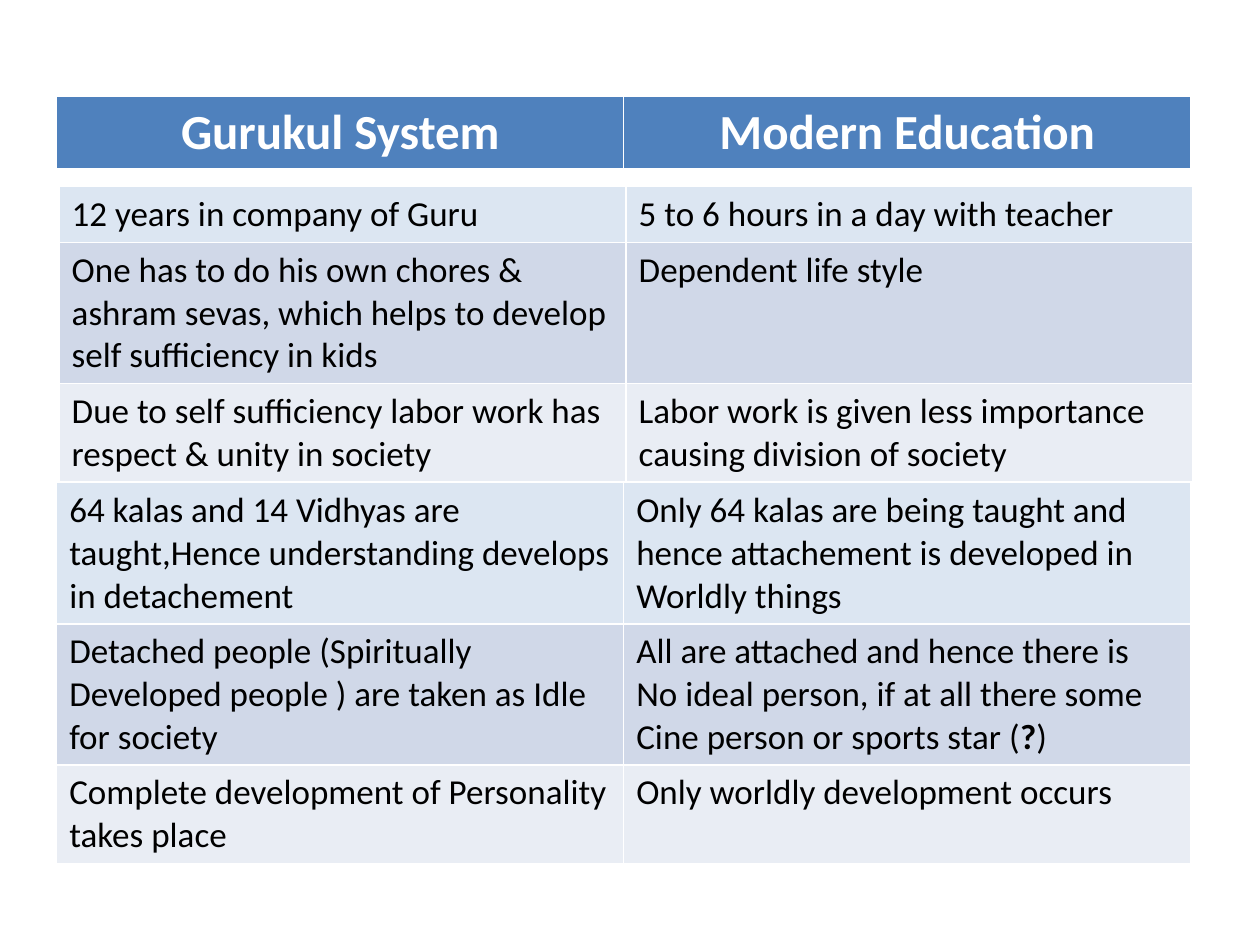
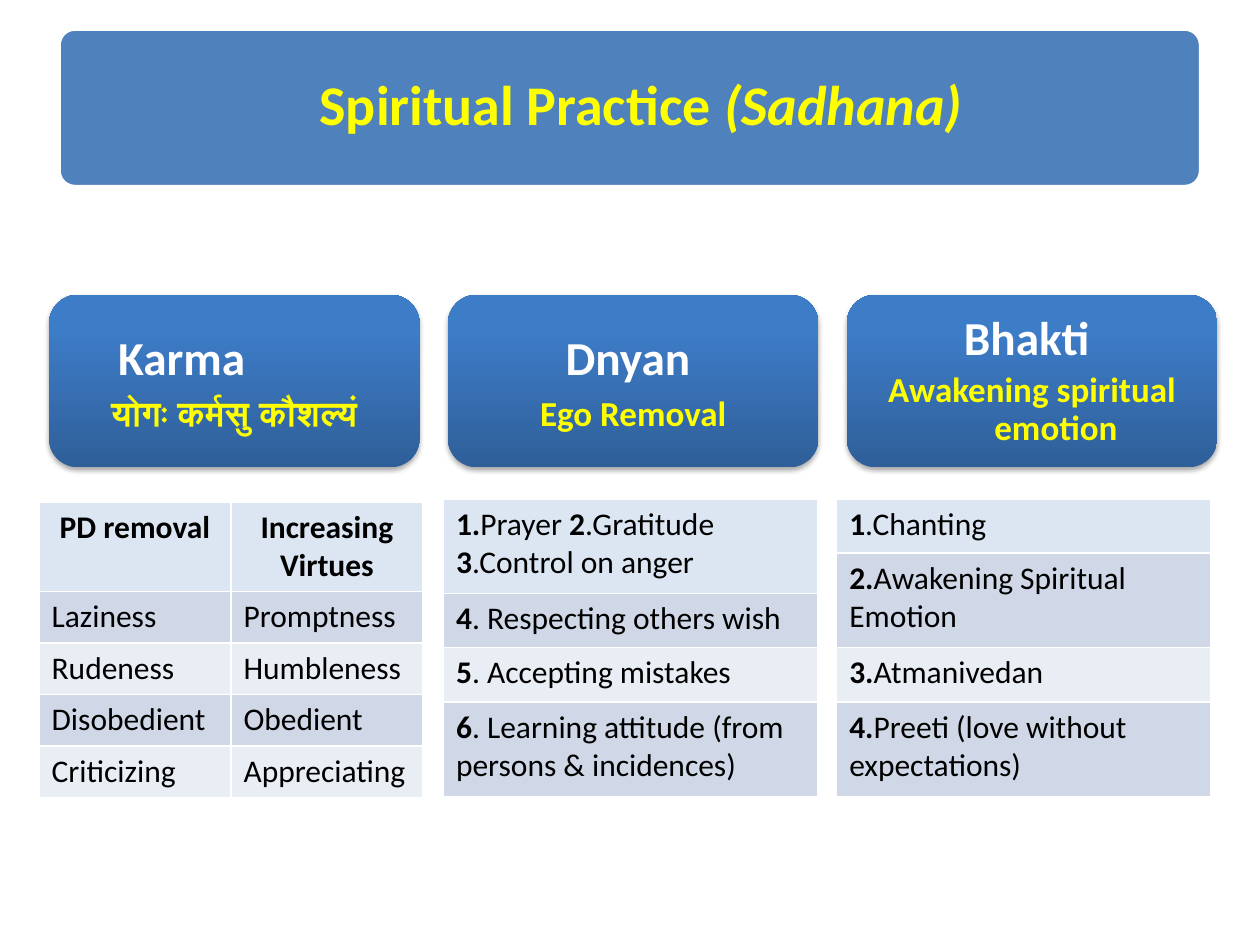
import dataclasses

import lxml.etree
import pptx
import pptx.dml.color
import pptx.enum.shapes
import pptx.enum.text
import pptx.oxml
import pptx.oxml.ns
import pptx.util

Pt = pptx.util.Pt
ALIGN = pptx.enum.text.PP_ALIGN
MIDDLE = pptx.enum.text.MSO_ANCHOR.MIDDLE
ROUNDED = pptx.enum.shapes.MSO_SHAPE.ROUNDED_RECTANGLE
qn = pptx.oxml.ns.qn


@dataclasses.dataclass(frozen=True)
class Theme:
    font: str = "Calibri"
    blue: str = "4F81BD"
    white: str = "FFFFFF"
    black: str = "000000"
    yellow: str = "FFFF00"
    top_row: str = "DCE6F2"
    bands: tuple = ("D0D8E8", "E9EDF4")
    card_bottom: str = "2F5F99"
    card_top: str = "3D7CC7"
    title_size: float = 32
    heading_size: float = 28
    card_size: float = 27
    text_size: float = 20
    small_size: float = 18


THEME = Theme()


def rgb(value):
    return pptx.dml.color.RGBColor.from_string(value)


def place(shape, box):
    shape.left, shape.top, shape.width, shape.height = (Pt(length) for length in box)


def write(paragraph, text, size, color, bold=False, mark="**"):
    """Add text to the paragraph; each mark switches bold on or off."""
    runs = []
    for index, part in enumerate(text.split(mark)):
        if part:
            run = paragraph.add_run()
            run.text = part
            run.font.name = THEME.font
            run.font.size = Pt(size)
            run.font.bold = bold != (index % 2 == 1)
            run.font.color.rgb = rgb(color)
            runs.append(run)
    return runs


def row_fill(index):
    return THEME.bands[(index - 1) % 2] if index else THEME.top_row


def add_grid(slide, left, top, width, heights, rows, size, color=THEME.black,
             top_fill=None, centred_top=False):
    """Add a table whose first row is set off by the style's thick white rule."""
    frame = slide.shapes.add_table(len(rows), len(rows[0]), Pt(left), Pt(top),
                                   Pt(width), Pt(sum(heights)))
    table = frame.table
    table.horz_banding = False
    for index, (texts, height) in enumerate(zip(rows, heights)):
        table.rows[index].height = Pt(height)
        heading = centred_top and index == 0
        for column, text in enumerate(texts):
            cell = table.cell(index, column)
            cell.fill.solid()
            cell.fill.fore_color.rgb = rgb(top_fill or row_fill(index))
            paragraph = cell.text_frame.paragraphs[0]
            paragraph.alignment = ALIGN.CENTER if heading else ALIGN.LEFT
            write(paragraph, text, size, color, bold=heading)


def build_comparison(presentation):
    slide = presentation.slides.add_slide(presentation.slide_layouts[6])
    width = 648
    add_grid(slide, 33.8, 106.6, width, (32, 80, 56), [
        ("12 years in company of Guru", "5 to 6 hours in a day with teacher"),
        ("One has to do his own chores & ashram sevas, which helps to develop "
         "self sufficiency in kids", "Dependent life style"),
        ("Due to self sufficiency labor work has respect & unity in society",
         "Labor work is given less importance causing division of society"),
    ], THEME.text_size)
    add_grid(slide, 32.4, 275.8, width, (80, 80, 56), [
        ("64 kalas and 14 Vidhyas are taught,Hence understanding develops in detachement",
         "Only 64 kalas are being taught and hence attachement is developed in "
         "Worldly things"),
        ("Detached people (Spiritually Developed people ) are taken as Idle for society",
         "All are attached and hence there is No ideal person, if at all there some "
         "Cine person or sports star (**?**)"),
        ("Complete development of Personality takes place",
         "Only worldly development occurs"),
    ], THEME.text_size)
    add_grid(slide, 32.4, 55, width, (41,), [("Gurukul System", "Modern Education")],
             THEME.heading_size, THEME.white, THEME.blue, centred_top=True)


def add_banner(slide, box):
    left, top, width, height = box
    banner = slide.shapes.add_shape(ROUNDED, *(Pt(length) for length in box))
    banner.adjustments[0] = 0.1
    banner.shadow.inherit = False
    banner.fill.solid()
    banner.fill.fore_color.rgb = rgb(THEME.blue)
    banner.line.color.rgb = rgb(THEME.white)
    banner.line.width = Pt(2)

    title = slide.shapes.title
    title.element.addprevious(banner.element)
    text_offset = 139.4
    place(title, (left + text_offset, top, width - text_offset, height))
    frame = title.text_frame
    frame.auto_size = pptx.enum.text.MSO_AUTO_SIZE.NONE
    frame.vertical_anchor = MIDDLE
    frame.margin_left = frame.margin_right = Pt(9.4)
    frame.margin_top = frame.margin_bottom = Pt(9.4)
    paragraph = frame.paragraphs[0]
    paragraph.alignment = ALIGN.LEFT
    paragraph.line_spacing = 0.9
    write(paragraph, "Spiritual Practice ", THEME.title_size, THEME.yellow, True)
    for run in write(paragraph, "(Sadhana)", THEME.title_size, THEME.yellow, True):
        run.font.italic = True


def round_corners(placeholder):
    geometry = lxml.etree.SubElement(placeholder.element.spPr, qn("a:prstGeom"),
                                     prst="roundRect")
    lxml.etree.SubElement(geometry, qn("a:avLst"))


def add_soft_shadow(shape):
    shape.shadow.inherit = False
    effects = shape.element.spPr.find(qn("a:effectLst"))
    shadow = lxml.etree.SubElement(
        effects, qn("a:outerShdw"), blurRad=str(Pt(3.1)), dist=str(Pt(1.8)),
        dir="5400000", rotWithShape="0")
    color = lxml.etree.SubElement(shadow, qn("a:srgbClr"), val=THEME.black)
    lxml.etree.SubElement(color, qn("a:alpha"), val="35000")


def format_card(card, name, meaning, name_left=False, line_spacing=1.0):
    card.fill.gradient()
    card.fill.gradient_angle = 90
    bottom, top = card.fill.gradient_stops
    bottom.color.rgb, bottom.position = rgb(THEME.card_bottom), 0
    top.color.rgb, top.position = rgb(THEME.card_top), 0.8
    card.line.fill.background()
    add_soft_shadow(card)

    frame = card.text_frame
    frame.word_wrap = True
    frame.auto_size = pptx.enum.text.MSO_AUTO_SIZE.NONE
    frame.vertical_anchor = MIDDLE
    lines = ((name, THEME.card_size, THEME.white, name_left),
             (meaning, THEME.text_size, THEME.yellow, False))
    for index, (text, size, color, at_left) in enumerate(lines):
        paragraph = frame.add_paragraph() if index else frame.paragraphs[0]
        paragraph.alignment = ALIGN.LEFT if at_left else ALIGN.CENTER
        paragraph.line_spacing = line_spacing
        paragraph.space_before = Pt(0.2 * size)
        properties = paragraph.element.get_or_add_pPr() if hasattr(
            paragraph, "element") else paragraph._p.get_or_add_pPr()
        properties.set("marL", str(Pt(27.4)))
        properties.set("indent", "0" if at_left else str(-Pt(27.4)))
        lxml.etree.SubElement(properties, qn("a:buNone"))
        write(paragraph, text, size, color, True)


def add_cards(slide, left, top, width, height, step):
    cards = (
        ("Karma", "योगः कर्मसु कौशल्यं", True, 1.0),
        ("Dnyan ", "Ego Removal", False, 1.0),
        ("Bhakti ", "Awakening spiritual emotion", False, 0.9),
    )
    for index, texts in enumerate(cards):
        box = (left + index * step, top, width, height)
        if index == 0:
            card = slide.placeholders[1]
            place(card, box)
            round_corners(card)
        else:
            card = slide.shapes.add_shape(ROUNDED, *(Pt(length) for length in box))
        format_card(card, *texts)


def build_practice(presentation):
    slide = presentation.slides.add_slide(presentation.slide_layouts[1])
    add_banner(slide, (33.8, 16.6, 652.3, 90))
    add_cards(slide, 28.1, 168.5, 211.7, 98.6, step=227.9)
    size = THEME.small_size
    add_grid(slide, 22.3, 286.8, 219.4, (50, 29.5, 29.5, 29.5, 29.5), [
        ("PD removal", "Increasing Virtues"),
        ("Laziness", "Promptness"),
        ("Rudeness", "Humbleness"),
        ("Disobedient", "Obedient"),
        ("Criticizing", "Appreciating"),
    ], size, centred_top=True)
    short, tall = 31, 54
    add_grid(slide, 253.4, 285.1, 213.8, (tall, short, short, tall), [
        ("**1.**Prayer** 2**.Gratitude **3**.Control on anger",),
        ("**4**. Respecting others wish",),
        ("**5**. Accepting mistakes",),
        ("**6**. Learning attitude (from persons & incidences)",),
    ], size)
    add_grid(slide, 478.1, 285.1, 213.8, (short, tall, short, tall), [
        ("**1**.Chanting",),
        ("**2.**Awakening Spiritual Emotion",),
        ("**3.**Atmanivedan",),
        ("**4.**Preeti (love without expectations)",),
    ], size)


def main():
    presentation = pptx.Presentation()
    presentation.slide_width, presentation.slide_height = Pt(720), Pt(540)
    build_comparison(presentation)
    build_practice(presentation)
    presentation.save("out.pptx")


if __name__ == "__main__":
    main()
